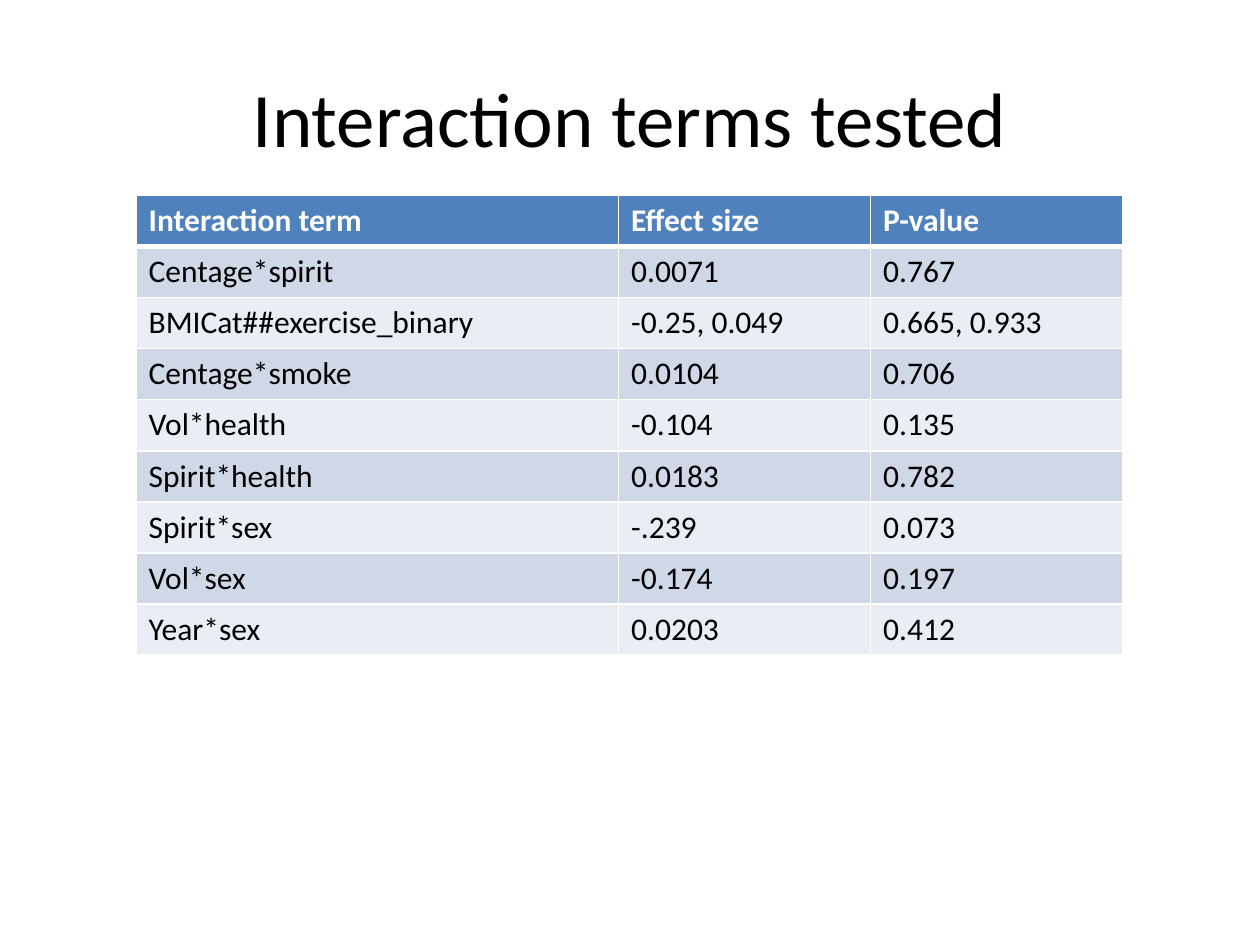
"""Build a slide with a table of tested interaction terms."""
import lxml.etree
import pptx
import pptx.dml.color
import pptx.enum.text
import pptx.oxml.ns
import pptx.util

Inches = pptx.util.Inches
RGBColor = pptx.dml.color.RGBColor

BLACK = RGBColor(0x00, 0x00, 0x00)
WHITE = RGBColor(0xFF, 0xFF, 0xFF)
HEADER_BLUE = RGBColor(0x4F, 0x81, 0xBD)
BAND_DARK = RGBColor(0xD0, 0xD8, 0xE8)
BAND_LIGHT = RGBColor(0xE9, 0xED, 0xF4)

COLUMN_WIDTHS = [3.83, 2, 2]
ROW_HEIGHT = 3.65 / 9
ROWS = [
    ("Interaction term", "Effect size", "P-value"),
    ("Centage*spirit", "0.0071", "0.767"),
    ("BMICat##exercise_binary", "-0.25, 0.049", "0.665, 0.933"),
    ("Centage*smoke", "0.0104", "0.706"),
    ("Vol*health", "-0.104", "0.135"),
    ("Spirit*health", "0.0183", "0.782"),
    ("Spirit*sex", "-.239", "0.073"),
    ("Vol*sex", "-0.174", "0.197"),
    ("Year*sex", "0.0203", "0.412"),
]


class SlideBuilder:
    def __init__(self, slide, font_name="Calibri"):
        self.slide = slide
        self.font_name = font_name

    def add_run(self, paragraph, text, size, color, bold=False):
        run = paragraph.add_run()
        run.text = text
        run.font.name = self.font_name
        run.font.size = pptx.util.Pt(size)
        run.font.bold = bold
        run.font.color.rgb = color

    def title(self, text, left, top, width, height):
        shape = self.slide.shapes.title
        shape.left, shape.top = Inches(left), Inches(top)
        shape.width, shape.height = Inches(width), Inches(height)
        shape.text_frame.vertical_anchor = pptx.enum.text.MSO_ANCHOR.MIDDLE
        paragraph = shape.text_frame.paragraphs[0]
        paragraph.alignment = pptx.enum.text.PP_ALIGN.CENTER
        self.add_run(paragraph, text, 44, BLACK)

    def cell_borders(self, cell, color, top, bottom):
        properties = cell._tc.get_or_add_tcPr()
        qn = pptx.oxml.ns.qn
        for side, width in (("L", 1), ("R", 1), ("T", top), ("B", bottom)):
            line = lxml.etree.SubElement(
                properties, qn(f"a:ln{side}"), w=str(pptx.util.Pt(width)))
            fill = lxml.etree.SubElement(line, qn("a:solidFill"))
            lxml.etree.SubElement(fill, qn("a:srgbClr"), val=str(color))

    def table(self, rows, left, top, column_widths, row_height):
        table = self.slide.shapes.add_table(
            len(rows), len(column_widths), Inches(left), Inches(top),
            Inches(sum(column_widths)), Inches(row_height * len(rows))).table
        for column, width in zip(table.columns, column_widths):
            column.width = Inches(width)
        for row_index, row in enumerate(rows):
            table.rows[row_index].height = Inches(row_height)
            header = row_index == 0
            band = BAND_DARK if row_index % 2 else BAND_LIGHT
            for column_index, text in enumerate(row):
                cell = table.cell(row_index, column_index)
                self.cell_borders(cell, WHITE, top=3 if row_index == 1 else 1,
                                  bottom=3 if header else 1)
                cell.fill.solid()
                cell.fill.fore_color.rgb = HEADER_BLUE if header else band
                self.add_run(cell.text_frame.paragraphs[0], text, 18,
                             WHITE if header else BLACK, bold=header)


def main():
    presentation = pptx.Presentation()
    presentation.slide_width = Inches(10)
    presentation.slide_height = Inches(7.5)
    slide = presentation.slides.add_slide(presentation.slide_layouts[5])
    builder = SlideBuilder(slide)
    builder.title("Interaction terms tested", 0.5, 0.3, 9, 1.25)
    builder.table(ROWS, 1.08, 1.55, COLUMN_WIDTHS, ROW_HEIGHT)
    presentation.save("out.pptx")


if __name__ == "__main__":
    main()
